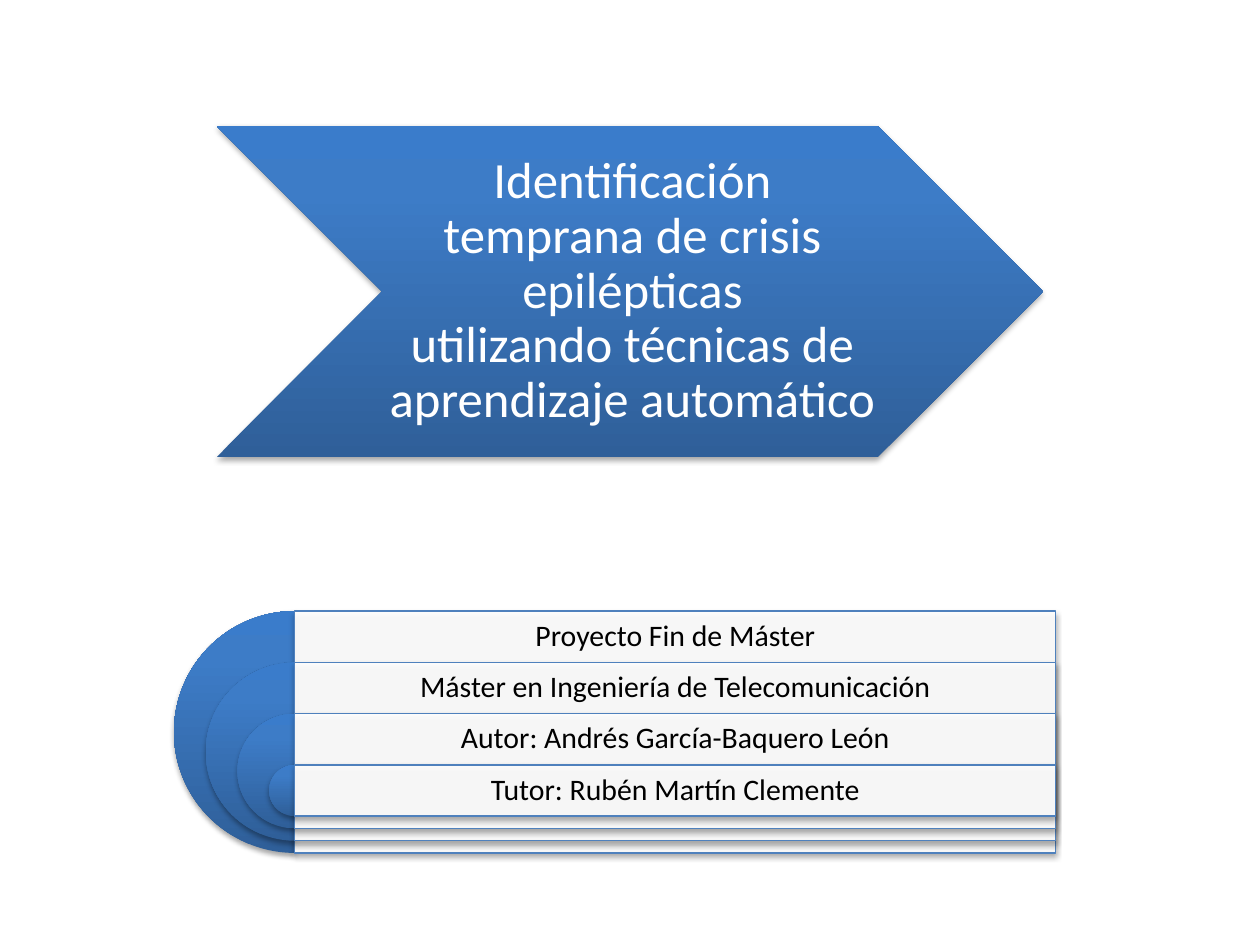
from copy import deepcopy

from lxml import etree
from pptx import Presentation
from pptx.dml.color import RGBColor
from pptx.enum.shapes import MSO_SHAPE
from pptx.enum.text import MSO_ANCHOR, PP_ALIGN
from pptx.oxml.ns import qn
from pptx.util import Pt

CHEVRON, PIE, RECT = MSO_SHAPE.CHEVRON, MSO_SHAPE.PIE, MSO_SHAPE.RECTANGLE
MIDDLE, CENTER = MSO_ANCHOR.MIDDLE, PP_ALIGN.CENTER

WHITE = RGBColor(0xFF, 0xFF, 0xFF)
BLACK = RGBColor(0x00, 0x00, 0x00)
BORDER = RGBColor(0x4F, 0x81, 0xBD)
STOPS = [
    (0, RGBColor(0x2F, 0x5F, 0x99)),
    (0.8, RGBColor(0x3D, 0x7C, 0xC7)),
    (1, RGBColor(0x3A, 0x7C, 0xCB)),
]
FONT = "Calibri"

TITLE = [
    "Identificación temprana de crisis epilépticas",
    "utilizando técnicas de aprendizaje automático",
]
ROWS = [
    "Proyecto Fin de Máster",
    "Máster en Ingeniería de Telecomunicación",
    "Autor: Andrés García-Baquero León",
    "Tutor: Rubén Martín Clemente",
]
LEFT, TOP, WIDTH = 168.5, 349.2, 434.9
STEP, SIZE, SHRINK = 29.3, 138.2, 36.3


def add_alpha(color, percent):
    """Set the opacity of a colour element."""
    etree.SubElement(color, qn("a:alpha"), val=str(percent * 1000))


def add_shape(group, kind, box):
    """Add a preset shape with a soft shadow below it."""
    shape = group.shapes.add_shape(kind, *map(Pt, box))
    shape.shadow.inherit = False
    effects = shape.element.spPr.find(qn("a:effectLst"))
    shadow = etree.SubElement(
        effects, qn("a:outerShdw"), blurRad=str(Pt(3.1)), dist=str(Pt(1.8)),
        dir="5400000", rotWithShape="0")
    color = etree.SubElement(shadow, qn("a:srgbClr"), val=str(BLACK))
    add_alpha(color, 35)
    return shape


def add_blue(group, kind, box):
    """Add a borderless shape with the blue gradient."""
    shape = add_shape(group, kind, box)
    shape.line.fill.background()
    fill = shape.fill
    fill.gradient()
    fill.gradient_angle = 90
    stops = shape.element.spPr.find(f".//{qn('a:gsLst')}")
    stops.append(deepcopy(stops[-1]))
    for stop, (place, color) in zip(fill.gradient_stops, STOPS):
        stop.position = place
        stop.color.rgb = color
    return shape


def add_panel(group, box):
    """Add a translucent white panel with a thin border."""
    panel = add_shape(group, RECT, box)
    panel.fill.solid()
    panel.fill.fore_color.rgb = WHITE
    add_alpha(panel.element.spPr.find(f"{qn('a:solidFill')}/{qn('a:srgbClr')}"), 90)
    panel.line.color.rgb = BORDER
    panel.line.width = Pt(0.75)


def add_text(group, box, lines, size, color, insets):
    """Add a centred text box, with a line break between lines."""
    frame = group.shapes.add_textbox(*map(Pt, box)).text_frame
    frame.word_wrap = True
    frame.vertical_anchor = MIDDLE
    (frame.margin_left, frame.margin_top,
     frame.margin_right, frame.margin_bottom) = map(Pt, insets)
    para = frame.paragraphs[0]
    para.alignment = CENTER
    para.line_spacing = 0.9
    for index, line in enumerate(lines):
        if index:
            para.add_line_break()
        run = para.add_run()
        run.text = line
        run.font.name = FONT
        run.font.size = Pt(size)
        run.font.color.rgb = color


def add_title(slide):
    """Add the chevron with the title."""
    group = slide.shapes.add_group_shape()
    add_blue(group, CHEVRON, (123.8, 72, 472.4, 189.2))
    add_text(group, (218.3, 72, 283.4, 189.2), TITLE, 29, WHITE, (3, 1.5, 0, 1.5))


def add_rows(slide):
    """Add the nested half discs, each with its panel and text."""
    group = slide.shapes.add_group_shape()
    for index, label in enumerate(ROWS):
        top = TOP + index * STEP
        size = SIZE - index * SHRINK
        disc = add_blue(group, PIE, (LEFT - size / 2, top, size, size))
        disc.adjustments[0] = 54
        disc.adjustments[1] = 162
        add_panel(group, (LEFT, top, WIDTH, size))
        add_text(group, (LEFT, top, WIDTH, STEP), [label], 17, BLACK, [5] * 4)


def main():
    """Build and save the cover slide."""
    deck = Presentation()
    deck.slide_width, deck.slide_height = Pt(720), Pt(540)
    slide = deck.slides.add_slide(deck.slide_layouts[6])
    add_title(slide)
    add_rows(slide)
    deck.save("out.pptx")


if __name__ == "__main__":
    main()
